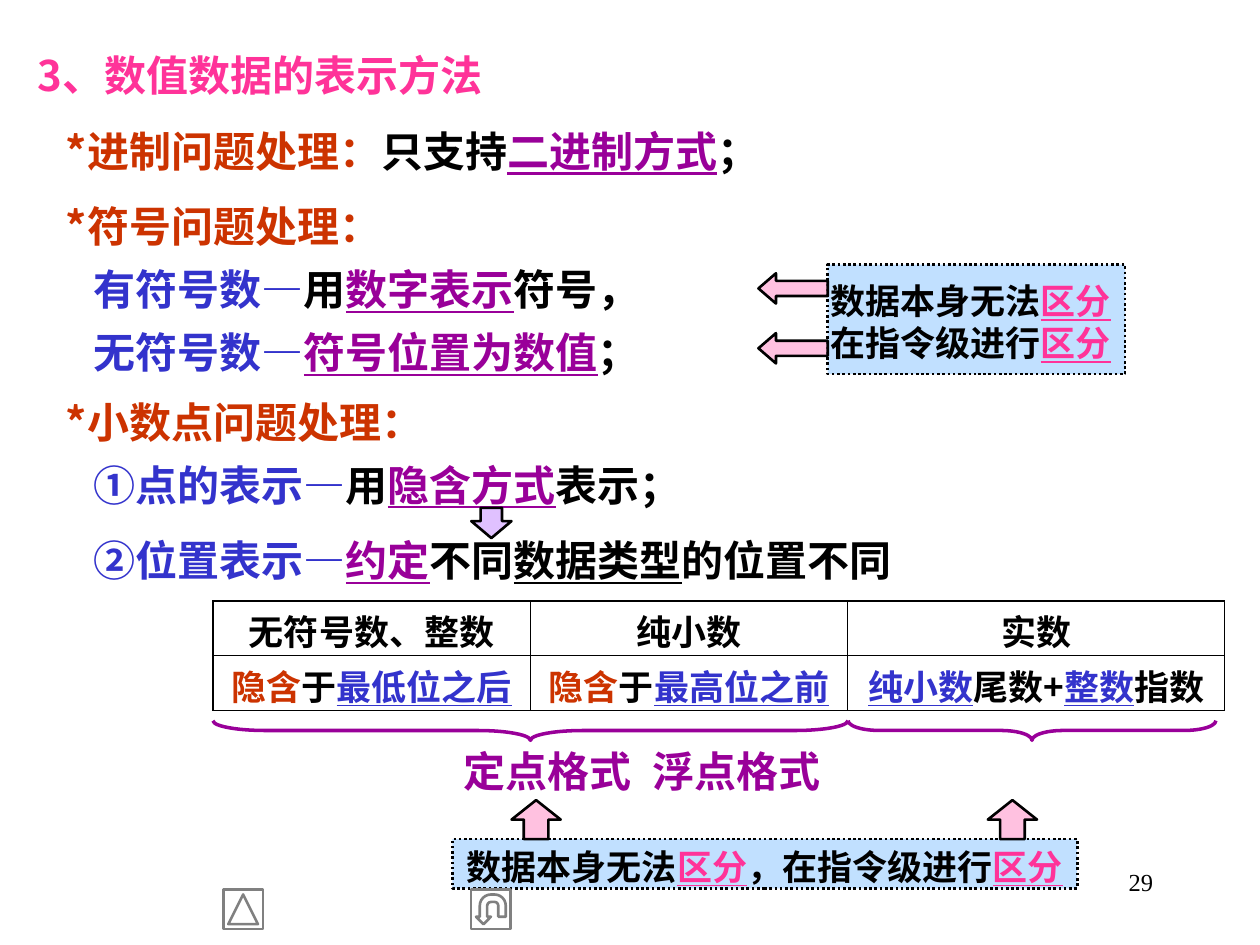
from dataclasses import dataclass

from lxml import etree
from pptx import Presentation
from pptx.dml.color import RGBColor
from pptx.enum.dml import MSO_LINE
from pptx.enum.shapes import MSO_SHAPE
from pptx.enum.text import MSO_ANCHOR, MSO_AUTO_SIZE, PP_ALIGN
from pptx.oxml.ns import qn
from pptx.util import Pt

LEFT, CENTER, RIGHT = PP_ALIGN.LEFT, PP_ALIGN.CENTER, PP_ALIGN.RIGHT
TOP, MIDDLE = MSO_ANCHOR.TOP, MSO_ANCHOR.MIDDLE
COMPARISON_LAYOUT = 4  # a title and four body placeholders


@dataclass(frozen=True)
class Theme:
    font: str = "Noto Sans CJK SC"
    number_font: str = "Times New Roman"
    black: str = "000000"
    pink: str = "FF3399"
    red: str = "CC3300"
    blue: str = "3333CC"
    purple: str = "990099"
    gray: str = "808080"
    note_fill: str = "99CCFF"
    arrow_fill: str = "FF99CC"
    down_fill: str = "CC99FF"
    large: int = 24
    medium: int = 20
    small: int = 14


T = Theme()


def plain(text, color=T.black):
    return text, color, False


def under(text, color=T.purple):
    return text, color, True


DISTINGUISH = under("区分", T.pink)
TITLE = [(0, [plain("3、数值数据的表示方法", T.pink)])]
# Each block: top, height, lines of (indent, runs)
BLOCKS = [
    (58.3, 43.2, [
        (16, [plain("*进制问题处理：", T.red), plain("只支持"), under("二进制方式"), plain("；")]),
    ]),
    (101.5, 115.2, [
        (16, [plain("*符号问题处理：", T.red)]),
        (32, [plain("有符号数—", T.blue), plain("用"), under("数字表示"), plain("符号，")]),
        (32, [plain("无符号数—", T.blue), under("符号位置为数值"), plain("；")]),
    ]),
    (213.1, 79.2, [
        (16, [plain("*小数点问题处理：", T.red)]),
        (32, [plain("①点的表示—", T.blue), plain("用"), under("隐含方式"), plain("表示；")]),
    ]),
    (292.3, 43.2, [
        (32, [plain("②位置表示—", T.blue), under("约定"), plain("不同"),
              under("数据类型", T.black), plain("的位置不同")]),
    ]),
]
TABLE_ROWS = [
    [[plain("无符号数、整数")], [plain("纯小数")], [plain("实数")]],
    [[plain("隐含", T.red), plain("于"), under("最低位之后", T.blue)],
     [plain("隐含", T.red), plain("于"), under("最高位之前", T.blue)],
     [under("纯小数", T.blue), plain("尾数+"), under("整数", T.blue), plain("指数")]],
]


def place(sp, left, top, width, height):
    sp.left, sp.top, sp.width, sp.height = Pt(left), Pt(top), Pt(width), Pt(height)


def write(tf, lines, size=T.large, font=T.font, align=LEFT, anchor=TOP,
          spacing=1.2, margins=(1.4, 0.7, 1.4, 0.7), tab=None):
    """Fill a text frame with lines of (indent, runs); spacing is a multiple of size."""
    tf.word_wrap = True
    tf.auto_size = MSO_AUTO_SIZE.NONE
    tf.vertical_anchor = anchor
    tf.margin_left, tf.margin_top, tf.margin_right, tf.margin_bottom = map(Pt, margins)
    for i, (indent, runs) in enumerate(lines):
        p = tf.add_paragraph() if i else tf.paragraphs[0]
        pPr = p._p.get_or_add_pPr()
        pPr.set("marL", str(Pt(indent)))
        pPr.set("indent", "0")
        etree.SubElement(pPr, qn("a:buNone"))
        if tab:
            tabs = etree.SubElement(pPr, qn("a:tabLst"))
            etree.SubElement(tabs, qn("a:tab"), pos=str(Pt(tab)), algn="l")
        p.alignment = align
        p.space_before = p.space_after = Pt(0)
        p.line_spacing = Pt(size * spacing)
        for text, color, underline in runs:
            r = p.add_run()
            r.text = text
            r.font.size = Pt(size)
            r.font.bold = font == T.font
            r.font.underline = underline
            r.font.color.rgb = RGBColor.from_string(color)
            r.font.name = font
            ea = etree.Element(qn("a:ea"), typeface=font)
            r.font._rPr.find(qn("a:latin")).addnext(ea)


def add_text(slide, box, runs, **fmt):
    write(slide.shapes.add_textbox(*map(Pt, box)).text_frame, [(0, runs)], **fmt)


def add_figure(slide, kind, box, line=T.black, width=1.5, fill=None, adjust=(), rotation=0):
    """Add a preset shape, its fill 60 % opaque if it has one."""
    sp = slide.shapes.add_shape(kind, *map(Pt, box))
    sp.shadow.inherit = False
    sp.rotation = rotation
    for i, value in enumerate(adjust):
        sp.adjustments[i] = value
    sp.line.color.rgb = RGBColor.from_string(line)
    sp.line.width = Pt(width)
    if fill:
        sp.fill.solid()
        sp.fill.fore_color.rgb = RGBColor.from_string(fill)
        color = sp._element.spPr.find(qn("a:solidFill"))[0]
        etree.SubElement(color, qn("a:alpha"), val="60000")
    else:
        sp.fill.background()
    return sp


def add_note(slide, box, lines, align=LEFT):
    sp = add_figure(slide, MSO_SHAPE.RECTANGLE, box, fill=T.note_fill)
    sp.line.dash_style = MSO_LINE.ROUND_DOT
    write(sp.text_frame, [(0, runs) for runs in lines], size=T.medium, align=align,
          anchor=MIDDLE, margins=(1.4, 2.7, 1.4, 0))


def add_brace(slide, left, right, top=411.8, depth=11.2, radius=2.7):
    """Add a brace that opens upward and spans left to right."""
    span = right - left
    box = ((left + right - depth) / 2, top + (depth - span) / 2, depth, span)
    add_figure(slide, MSO_SHAPE.LEFT_BRACE, box, line=T.purple, width=2,
               adjust=(radius, 0.5), rotation=270)


def set_border(cell, side, width):
    ln = etree.SubElement(cell._tc.get_or_add_tcPr(), qn(f"a:ln{side}"), w=str(Pt(width)))
    fill = etree.SubElement(ln, qn("a:solidFill"))
    etree.SubElement(fill, qn("a:srgbClr"), val=T.black)


def add_format_table(slide, left, top, col_widths, row_height):
    n_rows, n_cols = len(TABLE_ROWS), len(col_widths)
    table = slide.shapes.add_table(n_rows, n_cols, Pt(left), Pt(top), Pt(sum(col_widths)),
                                   Pt(row_height * n_rows)).table
    table.first_row = table.horz_banding = False
    for col, width in zip(table.columns, col_widths):
        col.width = Pt(width)
    for i, row in enumerate(TABLE_ROWS):
        table.rows[i].height = Pt(row_height)
        for j, runs in enumerate(row):
            cell = table.cell(i, j)
            write(cell.text_frame, [(0, runs)], size=T.medium, align=CENTER)
            cell.margin_left = cell.margin_right = Pt(2.9)
            cell.margin_top, cell.margin_bottom = Pt(7.2), Pt(0)
            outer = {"L": j == 0, "R": j == n_cols - 1, "T": i == 0, "B": i == n_rows - 1}
            for side, is_outer in outer.items():
                set_border(cell, side, 1.08 if is_outer else 0.45)
            cell.fill.background()


def main():
    prs = Presentation()
    prs.slide_width, prs.slide_height = Pt(720), Pt(540)
    slide = prs.slides.add_slide(prs.slide_layouts[COMPARISON_LAYOUT])

    title, *bodies = slide.placeholders
    for sp, (top, height, lines) in zip([title, *bodies], [(15.1, 43.2, TITLE), *BLOCKS]):
        place(sp, 14.4, top, 692, height)
        write(sp.text_frame, lines, spacing=1.5, margins=(7.2, 6, 7.2, 0))

    add_note(slide, (473, 151.2, 170, 62.6),
             [[plain("数据本身无法"), DISTINGUISH], [plain("在指令级进行"), DISTINGUISH]])
    for top in (156.2, 190.4):
        add_figure(slide, MSO_SHAPE.LEFT_ARROW, (433.4, top, 39.6, 17.3),
                   fill=T.arrow_fill, adjust=(0.5, 0.58))
    add_figure(slide, MSO_SHAPE.DOWN_ARROW, (269.3, 290.2, 23, 17.3),
               fill=T.down_fill, adjust=(0.53, 0.56))

    add_format_table(slide, 121.7, 343.4, (181.4, 181.4, 215.3), 31.3)
    add_brace(slide, 121.7, 484.6)
    add_brace(slide, 484.6, 694.8, radius=1.6)
    add_text(slide, (263.5, 423.4, 385.2, 28.1), [plain("定点格式\t浮点格式", T.purple)],
             margins=(1.4, 2.7, 1.4, 0), tab=171.5)

    add_note(slide, (258.5, 479.5, 357.1, 28.1),
             [[plain("数据本身无法"), DISTINGUISH, plain("，在指令级进行"), DISTINGUISH]],
             align=CENTER)
    for left in (292.3, 564.5):
        add_figure(slide, MSO_SHAPE.UP_ARROW, (left, 457.2, 28.1, 22.3),
                   fill=T.arrow_fill, adjust=(0.5, 0.5))

    add_text(slide, (516.2, 491.8, 149.8, 36), [plain("29")], size=T.small,
             font=T.number_font, align=RIGHT, margins=(7.2, 3.6, 7.2, 3.6))
    for kind, left, rotation in ((MSO_SHAPE.ACTION_BUTTON_BACK_OR_PREVIOUS, 127.6, 90),
                                 (MSO_SHAPE.ACTION_BUTTON_RETURN, 269.2, 180)):
        add_figure(slide, kind, (left, 508.3, 22.6, 22.6), line=T.gray, rotation=rotation)

    prs.save("out.pptx")


if __name__ == "__main__":
    main()
